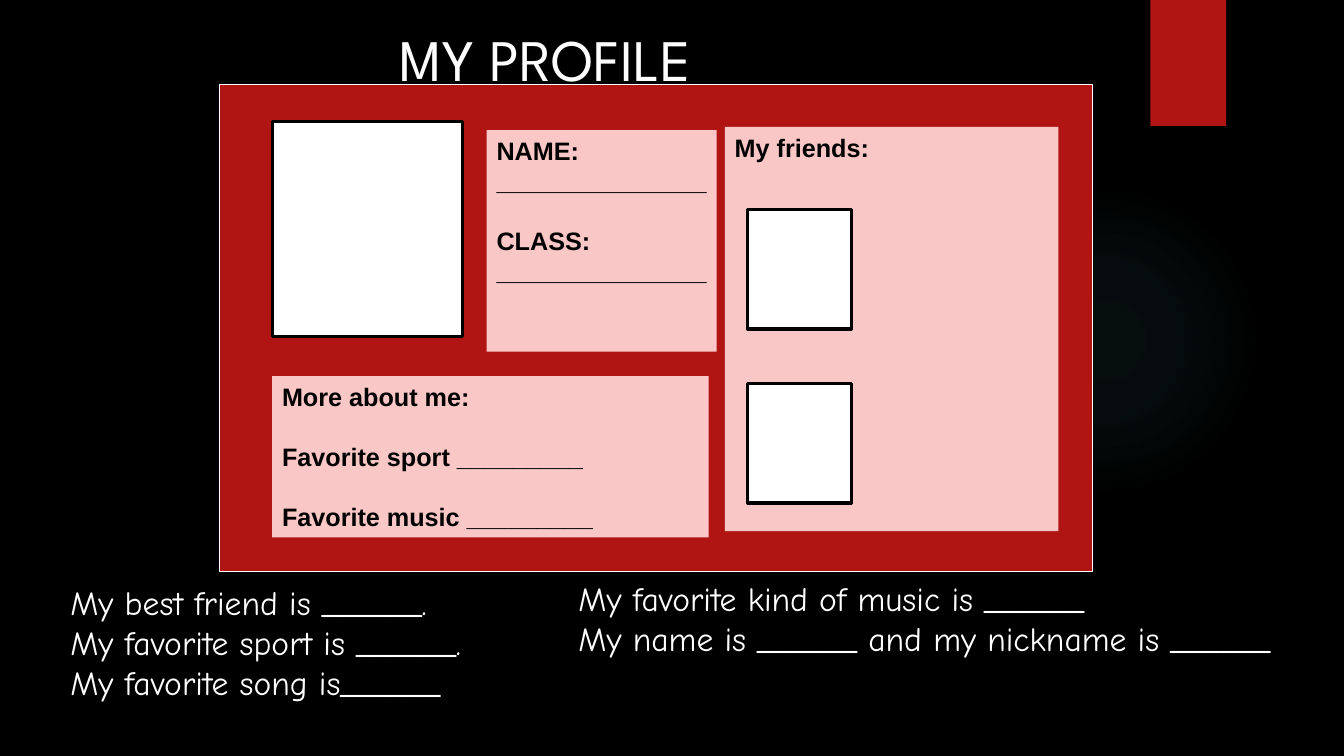
from pptx import Presentation
from pptx.dml.color import RGBColor
from pptx.enum.shapes import MSO_SHAPE
from pptx.enum.text import MSO_ANCHOR, PP_ALIGN
from pptx.oxml import parse_xml
from pptx.oxml.ns import nsdecls
from pptx.util import Pt

HUES = {
    "black": "000000",
    "red": "B01513",
    "pink": "F9C7C6",
    "white": "FFFFFF",
    "title": "FEFEFE",
    "glow": "50B9C1",
}
BLANK = 21.5


def hue(name):
    """Return the named colour."""
    return RGBColor.from_string(HUES[name])


def add_shape(slide, kind, place):
    """Add a preset shape without shadow or line."""
    shape = slide.shapes.add_shape(kind, *map(Pt, place))
    shape.shadow.inherit = False
    shape.line.fill.background()
    return shape


def add_box(slide, place, fill, edge=None, width=0):
    """Add a filled rectangle with an optional edge."""
    box = add_shape(slide, MSO_SHAPE.RECTANGLE, place)
    box.fill.solid()
    box.fill.fore_color.rgb = hue(fill)
    if edge:
        box.line.color.rgb = hue(edge)
        box.line.width = Pt(width)
    return box


def add_glow(slide, place):
    """Add a circle that fades out from its centre."""
    glow = add_shape(slide, MSO_SHAPE.OVAL, place)
    stops = "".join(
        f'<a:gs pos="{spot * 1000}"><a:srgbClr val="{HUES["glow"]}">'
        f'<a:alpha val="{alpha * 1000}"/></a:srgbClr></a:gs>'
        for spot, alpha in ((0, 7), (36, 6), (69, 0), (100, 0))
    )
    fade = parse_xml(
        f'<a:gradFill {nsdecls("a")} rotWithShape="1"><a:gsLst>{stops}</a:gsLst>'
        '<a:path path="circle"><a:fillToRect l="50000" t="50000" r="50000" b="50000"/>'
        "</a:path></a:gradFill>"
    )
    glow._element.spPr.insert(2, fade)


def write(shape, lines, font, size, tint, bold=False):
    """Write lines, each given as its text and the space before it."""
    frame = shape.text_frame
    frame.word_wrap = True
    frame.margin_right = 0
    frame.vertical_anchor = MSO_ANCHOR.TOP
    for index, (text, gap) in enumerate(lines):
        para = frame.add_paragraph() if index else frame.paragraphs[0]
        para.alignment = PP_ALIGN.LEFT
        para.space_before = Pt(gap)
        run = para.add_run()
        run.text = text
        run.font.name = font
        run.font.size = Pt(size)
        run.font.bold = bold
        run.font.color.rgb = hue(tint)


def add_card(slide, place, lines):
    """Add a pink card with bold black lines."""
    write(add_box(slide, place, "pink"), lines, "Arial", 18, "black", bold=True)


def add_text(slide, place, lines, font, size, tint):
    """Add a text box with plain lines."""
    box = slide.shapes.add_textbox(*map(Pt, place))
    write(box, [(line, 0) for line in lines], font, size, tint)


def main():
    """Build the profile slide."""
    deck = Presentation()
    deck.slide_width, deck.slide_height = Pt(960), Pt(540)
    slide = deck.slides.add_slide(deck.slide_layouts[6])
    slide.background.fill.solid()
    slide.background.fill.fore_color.rgb = hue("black")

    add_glow(slide, (677.5, 131.8, 221.8, 221.8))
    add_box(slide, (821.8, 0, 54, 90), "red")
    add_box(slide, (157, 60.5, 623.5, 347.8), "red", "white", 0.75)
    add_text(slide, (278.6, 13, 329.8, 74.2), ["MY PROFILE"],
             "League Spartan", 42, "title")

    blank = "_" * 15
    add_card(slide, (347.6, 92.9, 164.2, 158.4),
             [("NAME:", 0), (blank, 0), ("CLASS:", BLANK), (blank, 0)])
    add_card(slide, (194.4, 268.6, 311.8, 115.2),
             [("More about me:", 0), ("Favorite sport _________", BLANK),
              ("Favorite music _________", BLANK)])
    add_card(slide, (517.7, 90.7, 238.3, 288.7), [("My friends:", 0)])

    frames = [(194.4, 87.1, 136.1, 153.4)]
    frames += [(534.2, top, 73.8, 85.2) for top in (149.8, 274.1)]
    for place in frames:
        add_box(slide, place, "white", "black", 2.25)

    add_text(slide, (43.2, 411.8, 345.6, 94.3),
             ["My best friend is ______.", "My favorite sport is ______.",
              "My favorite song is______"], "Comic Neue", 24, "white")
    add_text(slide, (406.1, 409, 553.7, 65.5),
             ["My favorite kind of music is ______",
              "My name is ______ and my nickname is ______"],
             "Comic Neue", 24, "white")
    deck.save("out.pptx")


if __name__ == "__main__":
    main()
